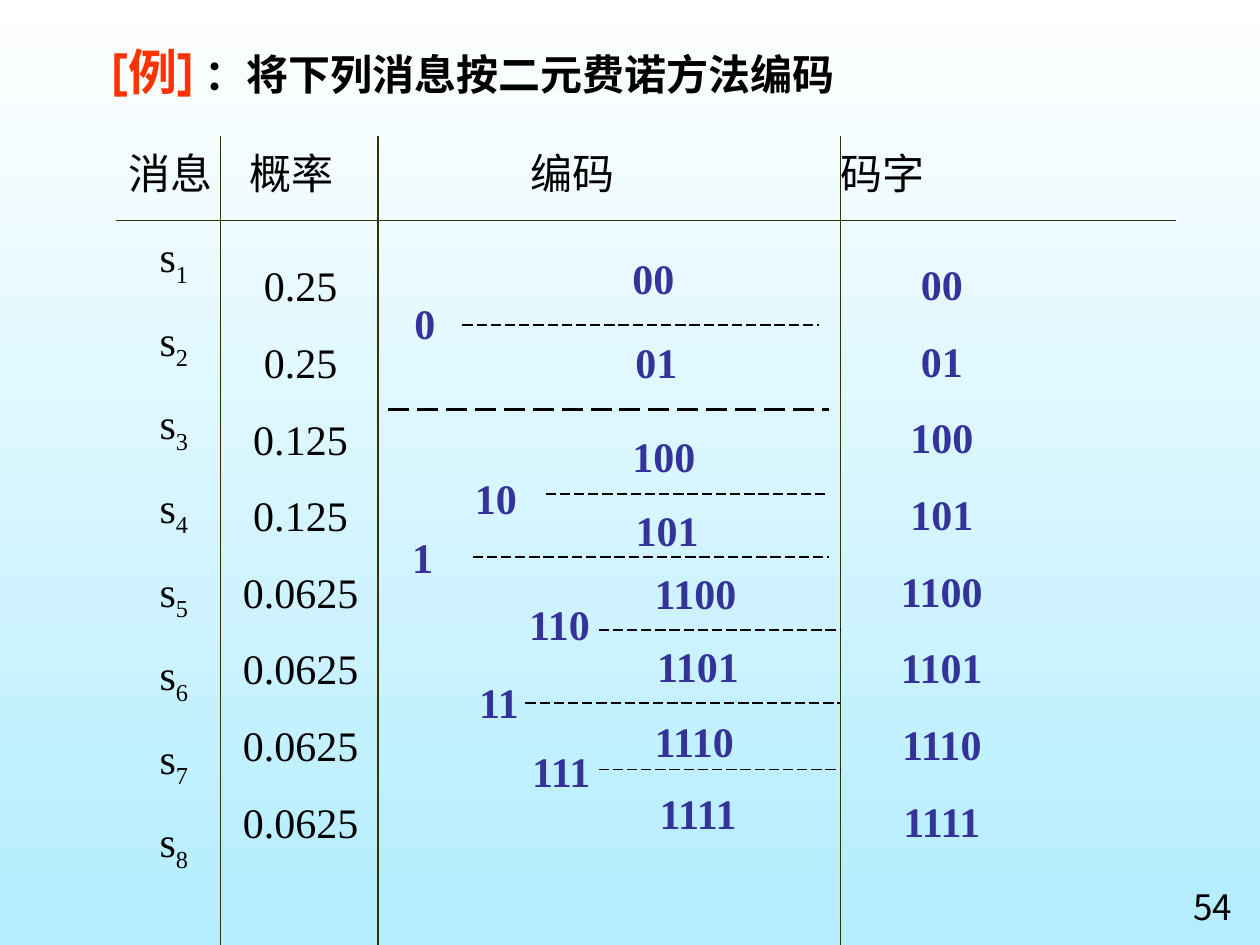
from typing import NamedTuple

from lxml import etree
from pptx import Presentation
from pptx.dml.color import RGBColor
from pptx.enum import dml, shapes, text
from pptx.oxml import ns
from pptx.util import Inches, Pt

BLACK = RGBColor(0x00, 0x00, 0x00)
WHITE = RGBColor(0xFF, 0xFF, 0xFF)
SKY = RGBColor(0xB3, 0xED, 0xFF)
OLIVE = RGBColor(0x33, 0x33, 0x00)
INDIGO = RGBColor(0x33, 0x33, 0x99)
RED = RGBColor(0xFF, 0x33, 0x00)
SERIF = "Times New Roman"
CENTER = text.PP_ALIGN.CENTER
CODE_HEIGHT = 0.45


class Box(NamedTuple):
    left: float
    top: float
    width: float
    height: float


class Code(NamedTuple):
    label: str
    left: float
    top: float
    width: float


class Split(NamedTuple):
    left: float
    right: float
    y: float
    weight: float = 0.75


CODES = [
    Code("0", 3.19, 2.36, 0.36), Code("1", 3.17, 4.22, 0.37),
    Code("00", 4.92, 2, 0.53), Code("01", 4.92, 2.67, 0.58),
    Code("10", 3.67, 3.75, 0.53), Code("11", 3.67, 5.37, 0.58),
    Code("110", 4.09, 4.75, 0.7), Code("111", 4.08, 5.92, 0.75),
    Code("100", 4.92, 3.42, 0.7), Code("101", 4.92, 4, 0.75),
    Code("1100", 5.09, 4.5, 0.86), Code("1101", 5, 5.08, 1.08),
    Code("1110", 5.08, 5.68, 0.86), Code("1111", 5, 6.25, 1.08),
]
SPLITS = [
    Split(3.08, 6.58, 3.25, 1.5), Split(3.67, 6.5, 2.58),
    Split(3.75, 6.58, 4.42), Split(4.33, 6.58, 3.92),
    Split(4.17, 6.67, 5.58), Split(4.75, 6.67, 5), Split(4.75, 6.67, 6.11),
]
PROBABILITIES = ["0.25"] * 2 + ["0.125"] * 2 + ["0.0625"] * 4
CODEWORDS = ["00", "01", "100", "101", "1100", "1101", "1110", "1111"]


def style(r, size: float, color: RGBColor, name: str, bold: bool = False) -> None:
    r.font.size = Pt(size)
    r.font.name = name
    r.font.bold = bold
    r.font.color.rgb = color


def add_box(s, box: Box, middle: bool = True, wrap: bool = False):
    tf = s.shapes.add_textbox(*map(Inches, box)).text_frame
    tf.word_wrap = wrap
    if middle:
        tf.vertical_anchor = text.MSO_ANCHOR.MIDDLE
        tf.margin_top = 0
    return tf


def add_lines(s, box: Box, lines: list[str], color: RGBColor = BLACK,
              bold: bool = False) -> list:
    tf = add_box(s, box)
    tf.text = "\n".join(lines)
    for i, p in enumerate(tf.paragraphs):
        p.alignment = CENTER
        if i:
            p.space_before = Pt(15)
        for r in p.runs:
            style(r, 24, color, SERIF, bold)
    return list(tf.paragraphs)


def add_line(s, x1: float, y1: float, x2: float, y2: float,
             color: RGBColor, weight: float = 0.75, dashed: bool = False) -> None:
    line = s.shapes.add_connector(shapes.MSO_CONNECTOR.STRAIGHT,
                                  *map(Inches, (x1, y1, x2, y2)))
    line.line.color.rgb = color
    line.line.width = Pt(weight)
    if dashed:
        line.line.dash_style = dml.MSO_LINE.LONG_DASH
    etree.SubElement(line._element.spPr, ns.qn("a:effectLst"))


def add_header(s) -> None:
    tf = add_box(s, Box(0.92, 1.17, 7, 0.45), wrap=True)
    p = tf.paragraphs[0]
    tabs = etree.SubElement(p._p.get_or_add_pPr(), ns.qn("a:tabLst"))
    for stop in (0.96, 3.19, 5.65):
        etree.SubElement(tabs, ns.qn("a:tab"), pos=str(Inches(stop)), algn="l")
    p.text = "消息\t概率\t编码\t码字"
    for r in p.runs:
        style(r, 24, BLACK, SERIF)


def add_title(s) -> None:
    tf = add_box(s, Box(0.79, 0.33, 7.37, 0.52), middle=False, wrap=True)
    p = tf.paragraphs[0]
    p.line_spacing = 0.9
    for words, size, color in (("[例] ", 28, RED),
                               ("：将下列消息按二元费诺方法编码", 24, BLACK)):
        r = p.add_run()
        r.text = words
        style(r, size, color, "Cabin", True)


def main() -> None:
    prs = Presentation()
    prs.slide_width, prs.slide_height = Inches(10), Inches(7.5)
    s = prs.slides.add_slide(prs.slide_layouts[6])

    # Background
    fill = s.background.fill
    fill.gradient()
    fill.gradient_angle = 270
    for stop, color in zip(fill.gradient_stops, (WHITE, SKY)):
        stop.color.rgb = color

    # Table rules
    add_line(s, 0.92, 1.75, 9.33, 1.75, OLIVE)
    for x in (1.75, 3, 6.67):
        add_line(s, x, 1.08, x, 7.5, OLIVE)

    # Columns of messages, probabilities and codewords
    symbols = add_lines(s, Box(1.03, 1.83, 0.7, 5.15), ["s"] * 8)
    for i, p in enumerate(symbols, 1):
        r = p.add_run()
        r.text = str(i)
        style(r, 24, BLACK, SERIF)
        r.font._element.set("baseline", "-25000")
    add_lines(s, Box(1.78, 2.06, 1.21, 4.71), PROBABILITIES)
    add_lines(s, Box(7.04, 2.05, 0.87, 4.71), CODEWORDS, INDIGO, True)

    # Successive splits and their code prefixes
    for split in SPLITS:
        add_line(s, split.left, split.y, split.right, split.y,
                 BLACK, split.weight, dashed=True)
    for code in CODES:
        add_lines(s, Box(code.left, code.top, code.width, CODE_HEIGHT),
                  [code.label], INDIGO, True)

    # Header, title and page number
    add_header(s)
    add_title(s)
    p = add_box(s, Box(9.25, 6.98, 0.75, 0.48), middle=False, wrap=True).paragraphs[0]
    p.text = "54"
    p.alignment = CENTER
    style(p.runs[0], 20, BLACK, "Noto Sans CJK SC")

    prs.save("out.pptx")


if __name__ == "__main__":
    main()
